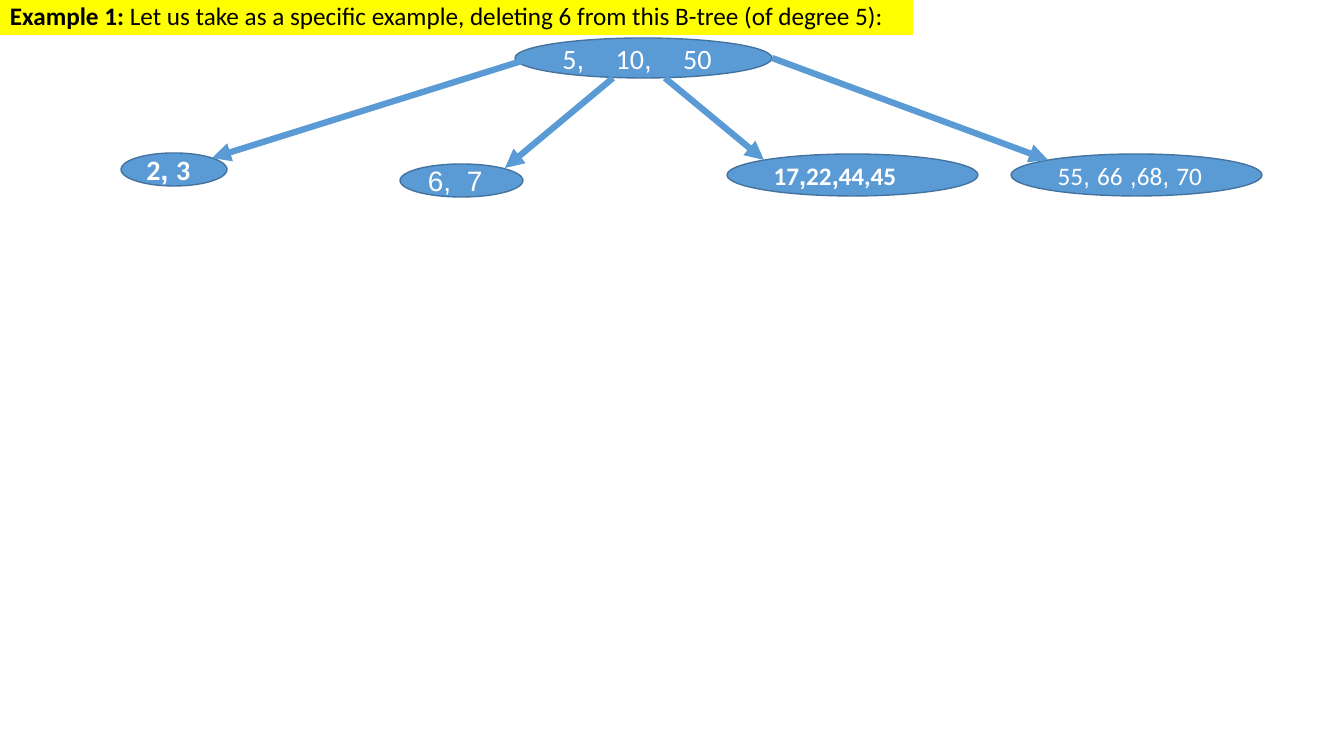
from itertools import cycle

from lxml import etree
from pptx import Presentation
from pptx.dml.color import RGBColor
from pptx.enum.shapes import MSO_CONNECTOR, MSO_SHAPE
from pptx.enum.text import MSO_ANCHOR, PP_ALIGN
from pptx.oxml.ns import qn
from pptx.util import Pt

PX = 914400 / 100.8
OVAL = MSO_SHAPE.OVAL
STRAIGHT = MSO_CONNECTOR.STRAIGHT
MIDDLE = MSO_ANCHOR.MIDDLE
LEFT = PP_ALIGN.LEFT

BLUE = RGBColor(0x5B, 0x9B, 0xD5)
DARK_BLUE = RGBColor(0x43, 0x73, 0x9E)
YELLOW = RGBColor(0xFF, 0xFF, 0x00)
WHITE = RGBColor(0xFF, 0xFF, 0xFF)
BLACK = RGBColor(0x00, 0x00, 0x00)

MIXED = ("Calibri", "Arial")
ARIAL = ("Arial",)


def px(*lengths):
    return [round(length * PX) for length in lengths]


def add_span(para, text, font, size, color, bold):
    span = para.add_run()
    span.text = text
    span.font.name = font
    span.font.size = Pt(size)
    span.font.bold = bold
    span.font.color.rgb = color


deck = Presentation()
deck.slide_width, deck.slide_height = px(1344, 756)
page = deck.slides.add_slide(deck.slide_layouts[6])

title = page.shapes.add_textbox(*px(0, -5, 913, 40))
title.fill.solid()
title.fill.fore_color.rgb = YELLOW
title.text_frame.word_wrap = True
title_para = title.text_frame.paragraphs[0]
add_span(title_para, "Example 1: ", "Calibri", 18, BLACK, True)
add_span(
    title_para,
    "Let us take as a specific example, deleting 6 from this B-tree (of degree 5):",
    "Calibri", 18, BLACK, False,
)

nodes = [
    ((515, 38, 257, 40), 20, False, MIXED, ["5", ",    ", "10", ",    ", "50"]),
    ((121, 153, 106, 33), 20, True, MIXED, ["2", ", ", "3"]),
    ((400, 164, 123, 33), 20, False, ARIAL, ["6,  7"]),
    ((727, 154, 251, 42), 18, True, MIXED, ["17", ",", "22", ",", "44,45"]),
    ((1011, 154, 251, 42), 18, False, MIXED,
     ["55", ", ", "66", " ,", "68", ", ", "70"]),
]
for bounds, size, bold, fonts, keys in nodes:
    node = page.shapes.add_shape(OVAL, *px(*bounds))
    node.shadow.inherit = False
    node.fill.solid()
    node.fill.fore_color.rgb = BLUE
    node.line.color.rgb = DARK_BLUE
    node.line.width = Pt(1)
    node.text_frame.word_wrap = True
    node.text_frame.vertical_anchor = MIDDLE
    para = node.text_frame.paragraphs[0]
    para.alignment = LEFT
    for key, font in zip(keys, cycle(fonts)):
        add_span(para, key, font, size, WHITE, bold)

branches = [
    (525, 60, 212, 158),
    (613, 78, 505, 168),
    (665, 78, 764, 160),
    (772, 58, 1048, 160),
]
for ends in branches:
    branch = page.shapes.add_connector(STRAIGHT, *px(*ends))
    branch.line.color.rgb = BLUE
    branch.line.width = Pt(4.5)
    etree.SubElement(branch.line._get_or_add_ln(), qn("a:tailEnd"), type="triangle")
    etree.SubElement(branch._element.spPr, qn("a:effectLst"))

deck.save("out.pptx")
